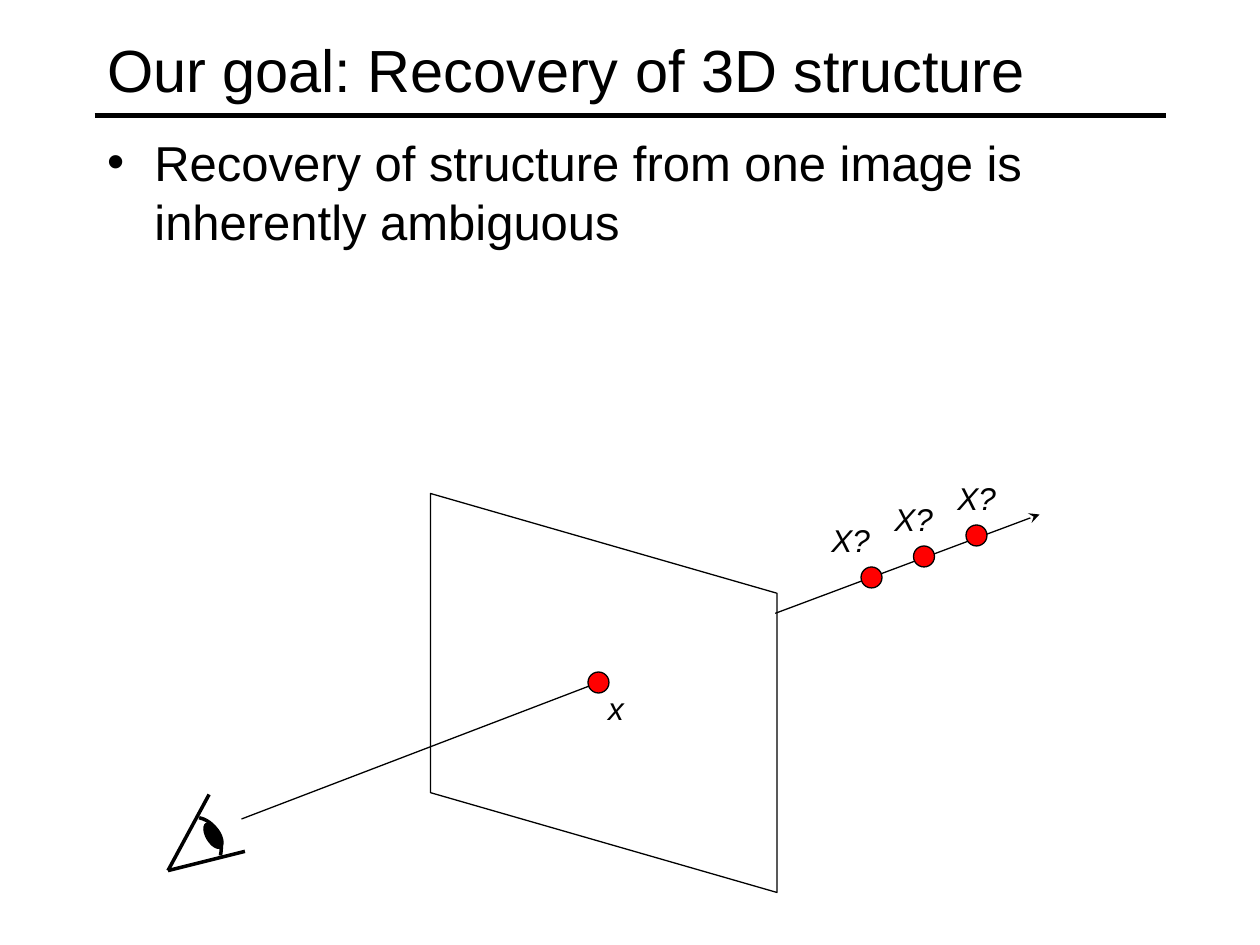
from dataclasses import dataclass

from lxml import etree
from pptx import Presentation
from pptx.dml.color import RGBColor
from pptx.enum import shapes, text
from pptx.oxml import ns
from pptx.util import Pt


@dataclass(frozen=True)
class Theme:
    font: str = "Arial"
    ink: RGBColor = RGBColor(0x00, 0x00, 0x00)
    paper: RGBColor = RGBColor(0xFF, 0xFF, 0xFF)
    point: RGBColor = RGBColor(0xFF, 0x00, 0x00)
    title: float = 34
    body: float = 28
    label: float = 18
    thin: float = 0.75
    eye: float = 2
    rule: float = 3


THEME = Theme()


def place(sp, x, y, w, h):
    sp.left, sp.top, sp.width, sp.height = Pt(x), Pt(y), Pt(w), Pt(h)


def style_text(p, size, italic=False):
    p.font.name = THEME.font
    p.font.size = Pt(size)
    p.font.color.rgb = THEME.ink
    p.font.italic = italic


def stroke(sp, width):
    sp.line.color.rgb = THEME.ink
    sp.line.width = Pt(width)


def add_line(s, x1, y1, x2, y2, width, arrow=False):
    line = s.shapes.add_connector(
        shapes.MSO_CONNECTOR.STRAIGHT, Pt(x1), Pt(y1), Pt(x2), Pt(y2))
    stroke(line, width)
    if arrow:
        ln = line.line._get_or_add_ln()
        etree.SubElement(ln, ns.qn("a:tailEnd"), type="stealth")
    etree.SubElement(line._element.spPr, ns.qn("a:effectLst"))


def add_shape(s, kind, x, y, w, h, fill, width=THEME.thin, rotation=0):
    sp = s.shapes.add_shape(kind, Pt(x), Pt(y), Pt(w), Pt(h))
    sp.shadow.inherit = False
    sp.fill.solid()
    sp.fill.fore_color.rgb = fill
    stroke(sp, width)
    sp.rotation = rotation
    return sp


def add_point(s, x, y):
    add_shape(s, shapes.MSO_SHAPE.OVAL, x, y, 12, 12, THEME.point)


def add_label(s, x, y, w, label):
    sp = s.shapes.add_textbox(Pt(x), Pt(y), Pt(w), Pt(29))
    tf = sp.text_frame
    tf.word_wrap = True
    tf.text = label
    style_text(tf.paragraphs[0], THEME.label, italic=True)


def add_title(s, x, y, w, h, title):
    sp = s.shapes.title
    place(sp, x, y, w, h)
    tf = sp.text_frame
    tf.text = title
    tf.auto_size = text.MSO_AUTO_SIZE.NONE
    tf.vertical_anchor = text.MSO_ANCHOR.MIDDLE
    p = tf.paragraphs[0]
    p.alignment = text.PP_ALIGN.LEFT
    style_text(p, THEME.title)
    add_line(s, x, y + h - 6, x + w, y + h - 6, THEME.rule)


def add_body(s, x, y, w, h, items):
    sp = s.placeholders[1]
    place(sp, x, y, w, h)
    tf = sp.text_frame
    tf.text = "\n".join(items)
    tf.auto_size = text.MSO_AUTO_SIZE.NONE
    for p in tf.paragraphs:
        style_text(p, THEME.body)
        p.space_before = Pt(0.2 * THEME.body)
        pPr = p._p.get_or_add_pPr()
        pPr.set("marL", str(Pt(27)))
        pPr.set("indent", str(Pt(-27)))
        bullet = etree.Element(ns.qn("a:buChar"), char="•")
        pPr.find(ns.qn("a:spcBef")).addnext(bullet)


def bezier(a, b, c, d, steps=12):
    for i in range(steps + 1):
        t = i / steps
        u = 1 - t
        yield tuple(
            u**3 * k + 3 * u * u * t * m + 3 * u * t * t * n + t**3 * q
            for k, m, n, q in zip(a, b, c, d))


def add_eye(s, x, y):
    curve = bezier((17.8, 13.3), (27.1, 15.4), (32.2, 24.8), (30, 34.9))
    start, *rest = [(Pt(x + dx), Pt(y + dy)) for dx, dy in curve]
    builder = s.shapes.build_freeform(*start)
    builder.add_line_segments(rest, close=False)
    cornea = builder.convert_to_shape()
    cornea.shadow.inherit = False
    cornea.fill.background()
    stroke(cornea, THEME.eye)
    for dx, dy in ((23.5, 0), (44, 32.5)):
        add_line(s, x, y + 43.5, x + dx, y + dy, THEME.eye)
    add_shape(s, shapes.MSO_SHAPE.OVAL, x + 22, y + 15.5, 8, 16,
              THEME.ink, width=1, rotation=329)


def add_projection(s, x, y):
    plane = add_shape(s, shapes.MSO_SHAPE.PARALLELOGRAM, x + 135, y + 27,
                      228, 198, THEME.paper, rotation=90)
    plane.adjustments[0] = 0.288
    add_line(s, x + 42, y + 198, x + 246, y + 120, THEME.thin)
    add_line(s, x + 347, y + 80.5, x + 498, y + 24, THEME.thin, arrow=True)
    add_point(s, x + 240, y + 114)
    add_label(s, x + 244.5, y + 120, 31, "x")
    for i in range(3):
        add_point(s, x + 396 + 30 * i, y + 54 - 12 * i)
        add_label(s, x + 372 + 36 * i, y + 24 - 12 * i, 54, "X?")
    add_eye(s, x, y + 184)


def main():
    prs = Presentation()
    prs.slide_width, prs.slide_height = Pt(720), Pt(540)
    s = prs.slides.add_slide(prs.slide_layouts[1])
    add_title(s, 54, 6, 612, 66, "Our goal: Recovery of 3D structure")
    add_body(s, 54, 72, 612, 414,
             ["Recovery of structure from one image is inherently ambiguous"])
    add_projection(s, 96, 270)
    prs.save("out.pptx")


if __name__ == "__main__":
    main()
